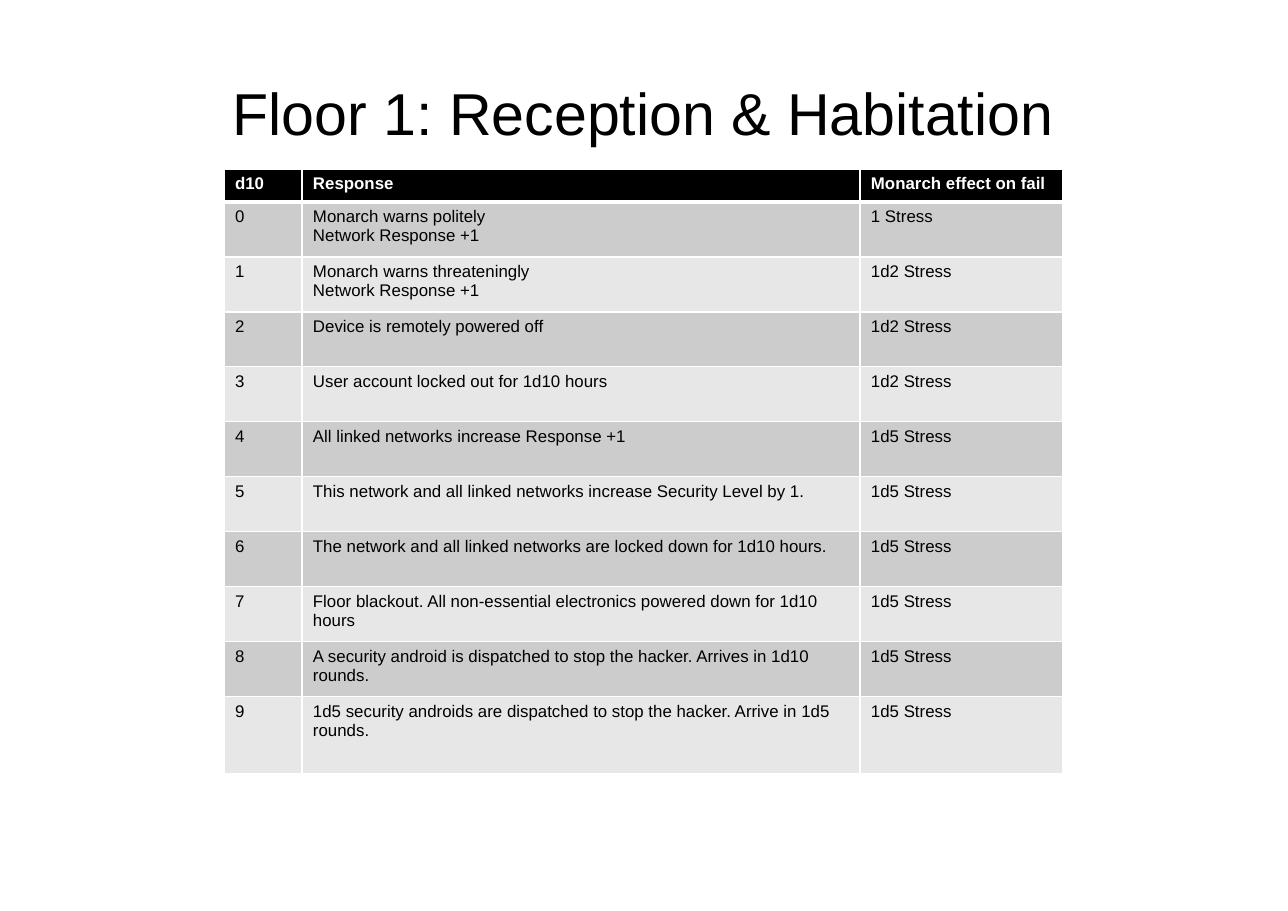
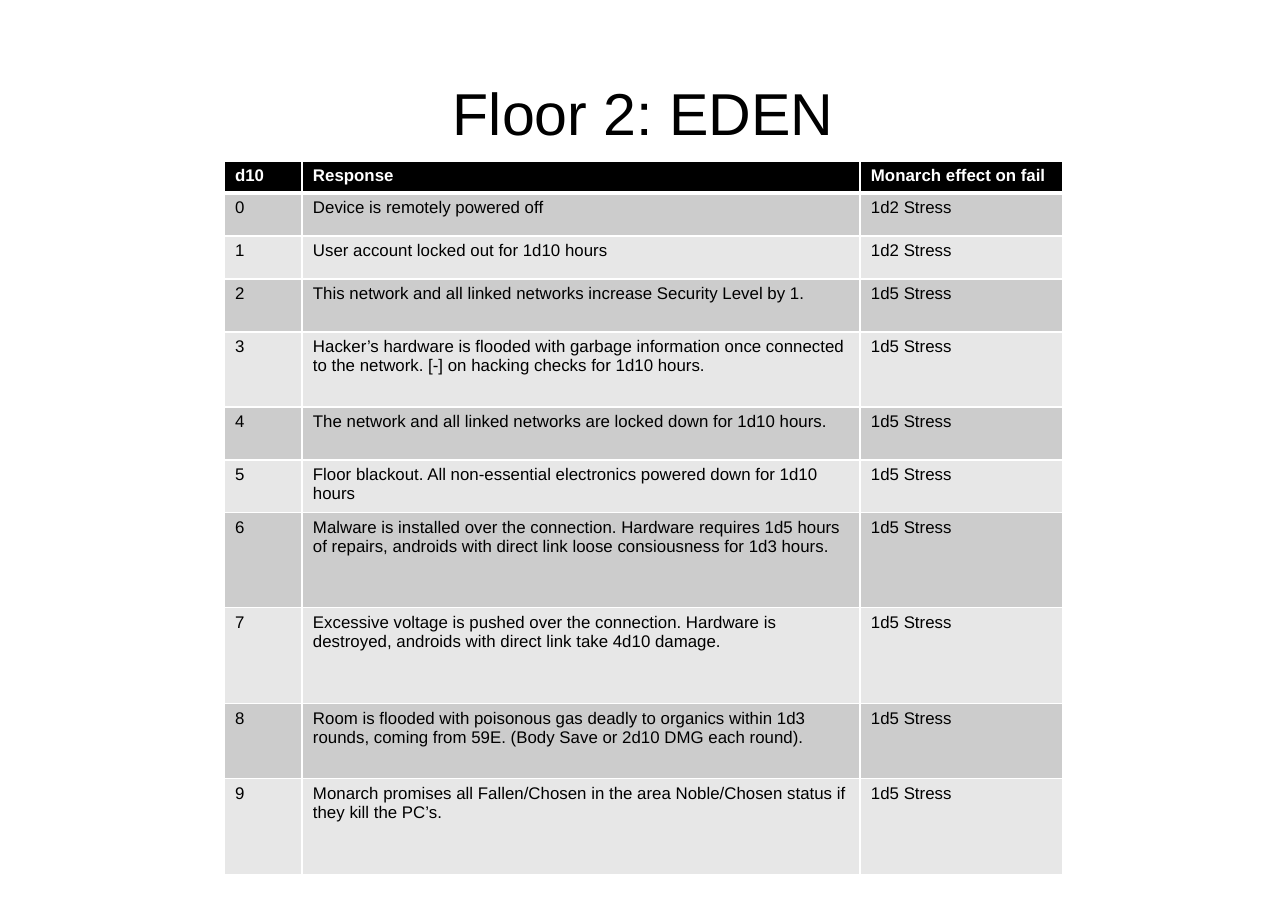
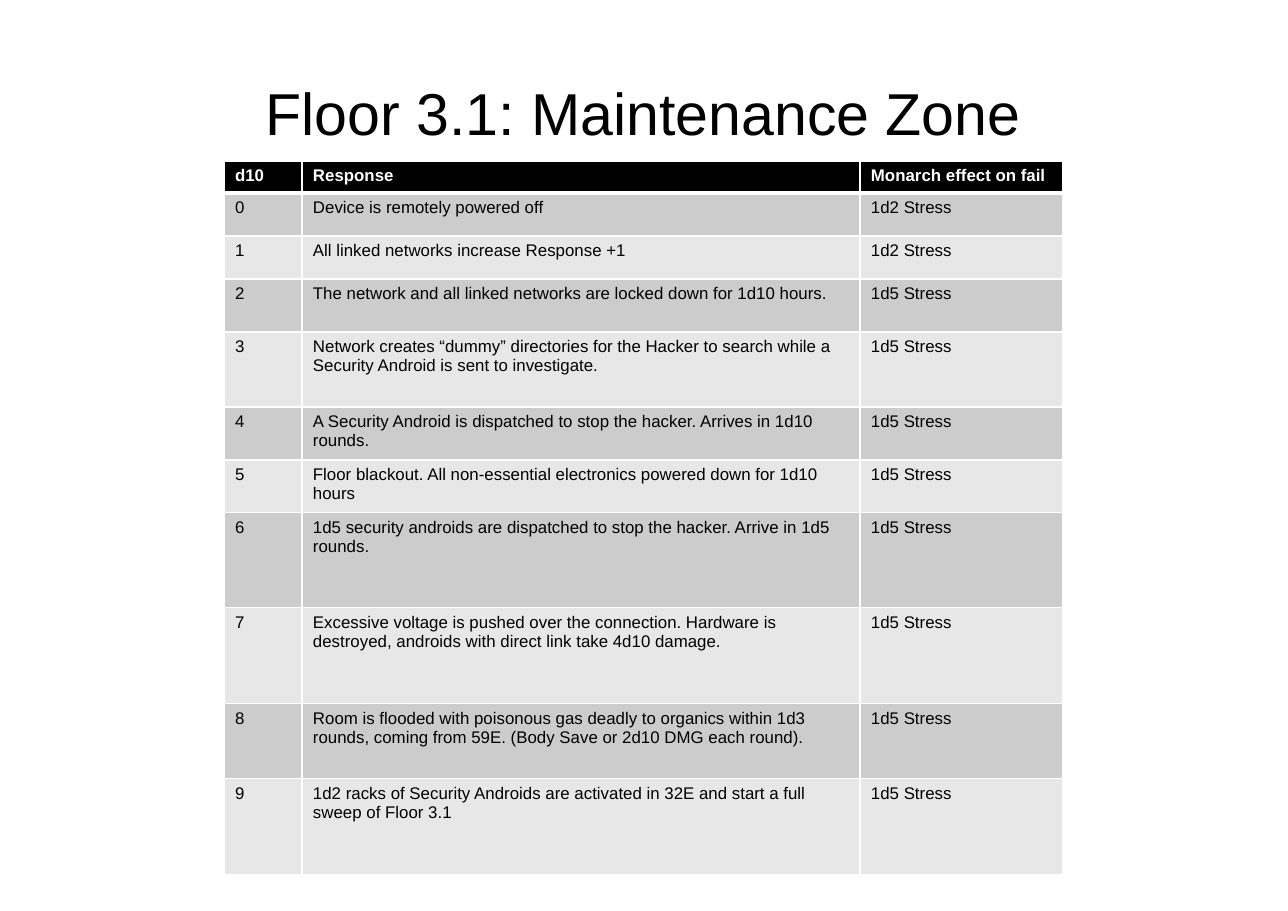
from lxml import etree
from pptx import Presentation
from pptx import util as u
from pptx.dml.color import RGBColor
from pptx.enum import text
from pptx.oxml.ns import qn

EMU_PER_PX = 8298
SLIDE_SIZE = (1288, 911)
TITLE_BOX = (64, 36, 1159, 152)
TABLE_LEFT = 224
COLUMN_WIDTHS = (78, 558, 203)
FONT = "Arial"
COLORS = {"ink": "000000", "paper": "FFFFFF", "odd": "CCCCCC", "even": "E7E7E7"}

HEADER = ("d10", "Response", "Monarch effect on fail")
POWER_OFF = "Device is remotely powered off"
LOCKED_OUT = "User account locked out for 1d10 hours"
LINKED_RESPONSE = "All linked networks increase Response +1"
LINKED_SECURITY = "This network and all linked networks increase Security Level by 1."
LOCKDOWN = "The network and all linked networks are locked down for 1d10 hours."
BLACKOUT = "Floor blackout. All non-essential electronics powered down for 1d10 hours"
ANDROID_SQUAD = "1d5 security androids are dispatched to stop the hacker. Arrive in 1d5 rounds."
VOLTAGE = ("Excessive voltage is pushed over the connection. Hardware is destroyed, "
           "androids with direct link take 4d10 damage.")
GAS = ("Room is flooded with poisonous gas deadly to organics within 1d3 rounds, "
       "coming from 59E. (Body Save or 2d10 DMG each round).")

EVEN_ROWS = (33, *[55] * 9, 77)
MIXED_ROWS = (32, 43, 43, 53, 75, 53, 53, 95, 96, 75, 96)

FLOORS = [
    {
        "title": "Floor 1: Reception & Habitation",
        "top": 169,
        "row_heights": EVEN_ROWS,
        "stress": ["1", "1d2", "1d2", "1d2"] + ["1d5"] * 6,
        "responses": [
            "Monarch warns politely\nNetwork Response +1",
            "Monarch warns threateningly\nNetwork Response +1",
            POWER_OFF,
            LOCKED_OUT,
            LINKED_RESPONSE,
            LINKED_SECURITY,
            LOCKDOWN,
            BLACKOUT,
            "A security android is dispatched to stop the hacker. Arrives in 1d10 rounds.",
            ANDROID_SQUAD,
        ],
    },
    {
        "title": "Floor 2: EDEN",
        "top": 161,
        "row_heights": MIXED_ROWS,
        "stress": ["1d2"] * 2 + ["1d5"] * 8,
        "responses": [
            POWER_OFF,
            LOCKED_OUT,
            LINKED_SECURITY,
            "Hacker’s hardware is flooded with garbage information once connected "
            "to the network. [-] on hacking checks for 1d10 hours.",
            LOCKDOWN,
            BLACKOUT,
            "Malware is installed over the connection. Hardware requires 1d5 hours of "
            "repairs, androids with direct link loose consiousness for 1d3 hours.",
            VOLTAGE,
            GAS,
            "Monarch promises all Fallen/Chosen in the area Noble/Chosen status "
            "if they kill the PC’s.",
        ],
    },
    {
        "title": "Floor 3.1: Maintenance Zone",
        "top": 161,
        "row_heights": MIXED_ROWS,
        "stress": ["1d2"] * 2 + ["1d5"] * 8,
        "responses": [
            POWER_OFF,
            LINKED_RESPONSE,
            LOCKDOWN,
            "Network creates “dummy” directories for the Hacker to search while "
            "a Security Android is sent to investigate.",
            "A Security Android is dispatched to stop the hacker. Arrives in 1d10 rounds.",
            BLACKOUT,
            ANDROID_SQUAD,
            VOLTAGE,
            GAS,
            "1d2 racks of Security Androids are activated in 32E and start a full "
            "sweep of Floor 3.1",
        ],
    },
]


def px(length):
    return u.Emu(length * EMU_PER_PX)


def style_font(font, size, color, bold=False):
    font.name = FONT
    font.size = u.Pt(size)
    font.bold = bold
    font.color.rgb = RGBColor.from_string(COLORS[color])


def add_title(slide, title):
    frame = slide.shapes.add_textbox(*map(px, TITLE_BOX)).text_frame
    frame.word_wrap = True
    frame.vertical_anchor = text.MSO_ANCHOR.MIDDLE
    para = frame.paragraphs[0]
    para.text = title
    para.alignment = text.PP_ALIGN.CENTER
    style_font(para.font, 38.6, "ink")


def set_borders(cell, top, bottom):
    """Draw light borders; top and bottom are widths in points."""
    properties = cell._tc.get_or_add_tcPr()
    widths = {"a:lnL": 1, "a:lnR": 1, "a:lnT": top, "a:lnB": bottom}
    for tag, width in widths.items():
        line = etree.SubElement(properties, qn(tag), w=str(u.Pt(width)))
        fill = etree.SubElement(line, qn("a:solidFill"))
        etree.SubElement(fill, qn("a:srgbClr"), val=COLORS["paper"])


def fill_cell(cell, content, row):
    is_header = row == 0
    cell.text = content
    # The schema wants borders ahead of the fill.
    set_borders(cell, top=3 if row == 1 else 1, bottom=3 if is_header else 1)
    cell.fill.solid()
    band = "ink" if is_header else ("odd" if row % 2 else "even")
    cell.fill.fore_color.rgb = RGBColor.from_string(COLORS[band])
    for para in cell.text_frame.paragraphs:
        style_font(para.font, 11, "paper" if is_header else "ink", is_header)


def add_response_table(slide, floor):
    heights = floor["row_heights"]
    outcomes = zip(floor["responses"], floor["stress"])
    rows = [HEADER] + [(str(roll), response, f"{stress} Stress")
                       for roll, (response, stress) in enumerate(outcomes)]
    table = slide.shapes.add_table(
        len(rows), len(HEADER), px(TABLE_LEFT), px(floor["top"]),
        px(sum(COLUMN_WIDTHS)), px(sum(heights))).table
    for column, width in zip(table.columns, COLUMN_WIDTHS):
        column.width = px(width)
    for row, (values, height) in enumerate(zip(rows, heights)):
        table.rows[row].height = px(height)
        for column, content in enumerate(values):
            fill_cell(table.cell(row, column), content, row)


def main():
    deck = Presentation()
    deck.slide_width, deck.slide_height = map(px, SLIDE_SIZE)
    for floor in FLOORS:
        slide = deck.slides.add_slide(deck.slide_layouts[6])
        add_title(slide, floor["title"])
        add_response_table(slide, floor)
    deck.save("out.pptx")


if __name__ == "__main__":
    main()
